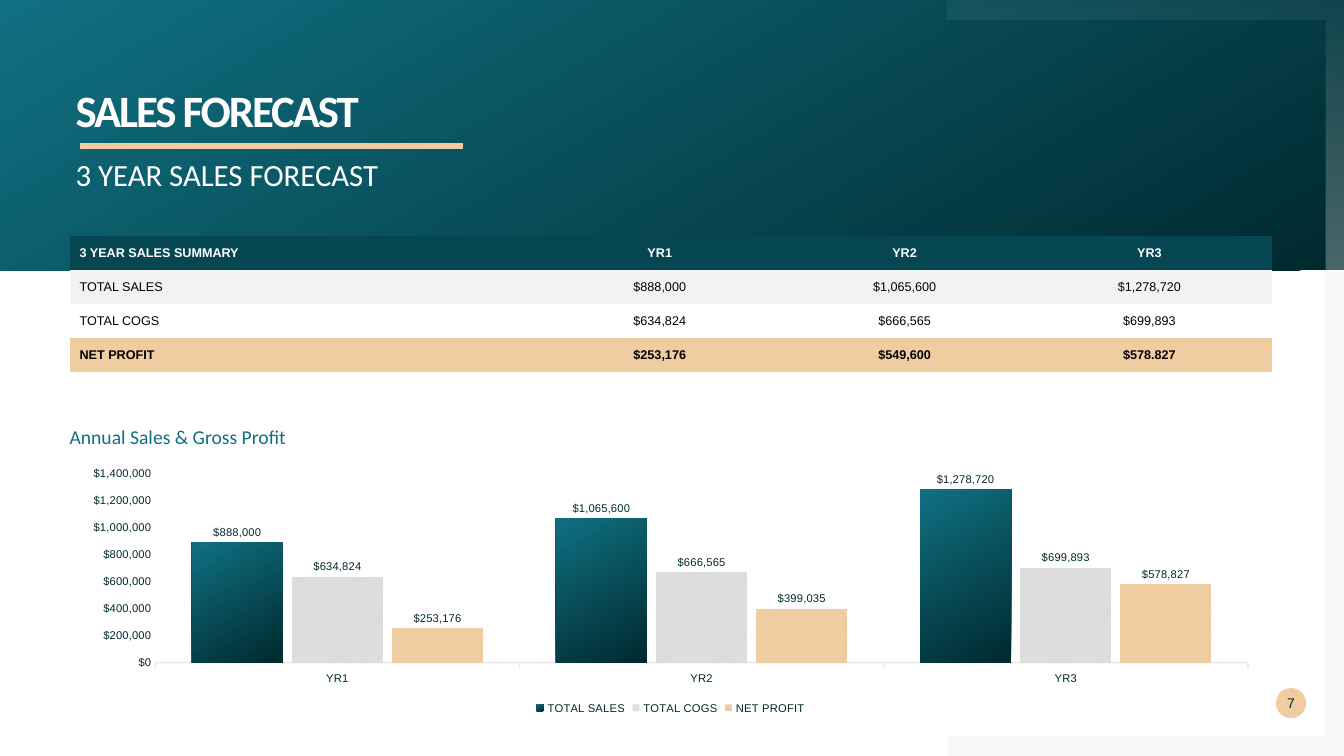
from lxml import etree
from pptx import Presentation
from pptx.chart.data import CategoryChartData
from pptx.dml.color import RGBColor
from pptx.enum.chart import XL_CHART_TYPE, XL_LABEL_POSITION, XL_LEGEND_POSITION, XL_TICK_MARK
from pptx.enum.dml import MSO_PATTERN
from pptx.enum.shapes import MSO_CONNECTOR, MSO_SHAPE
from pptx.enum.text import MSO_ANCHOR, PP_ALIGN
from pptx.oxml.ns import qn
from pptx.util import Emu, Pt

RECTANGLE, OVAL = MSO_SHAPE.RECTANGLE, MSO_SHAPE.OVAL
LEFT, CENTER = PP_ALIGN.LEFT, PP_ALIGN.CENTER
TOP, MIDDLE = MSO_ANCHOR.TOP, MSO_ANCHOR.MIDDLE

COLORS = {
    "dark": "00292E", "teal": "107082", "header": "054652", "sand": "F0CDA1",
    "white": "FFFFFF", "black": "000000", "pale": "F2F2F2", "silver": "D9D9D9",
    "axis": "BFBFBF", "grey": "808080",
}
COLUMNS, ROWS, CELL = 160, 90, 76200
MARGIN, CONTENT_WIDTH = 8.28, 143.14
BAND_ROWS = 32.16
FRAME_LEFT, FRAME_INNER, FRAME_THICKNESS = 112.8, 157.7, 2.4
TABLE_ROW = 4.06
NO_TABLE_STYLE = "{2D5ABB26-0587-4C30-8999-92F81FD0307C}"
MONEY = '"$"#,##0'
YEARS = ["YR1", "YR2", "YR3"]
SUMMARY = [
    (["3 YEAR SALES SUMMARY"] + YEARS, "header", "white", True),
    (["TOTAL SALES", "$888,000", "$1,065,600", "$1,278,720"], "pale", "black", False),
    (["TOTAL COGS", "$634,824", "$666,565", "$699,893"], "white", "black", False),
    (["NET PROFIT", "$253,176", "$549,600", "$578.827"], "sand", "black", True),
]
SERIES = {
    "TOTAL SALES": (888000, 1065600, 1278720),
    "TOTAL COGS": (634824, 666565, 699893),
    "NET PROFIT": (253176, 399035, 578827),
}


def grid(*cells):
    """Turn grid cells into lengths."""
    return [Emu(round(cell * CELL)) for cell in cells]


def color(name):
    """Look up a colour by name."""
    return RGBColor.from_string(COLORS[name])


def set_attributes(target, values):
    """Set each named attribute on the target."""
    for name, value in values.items():
        setattr(target, name, value)


def set_alpha(element, *percents):
    """Give the element's colours their opacity, in order."""
    for node, percent in zip(list(element.iter(qn("a:srgbClr"))), percents):
        etree.SubElement(node, qn("a:alpha")).set("val", str(percent * 1000))


def fill_solid(fill, name):
    """Fill with one colour."""
    fill.solid()
    fill.fore_color.rgb = color(name)


def fill_gradient(fill, names, angle):
    """Fill with a two-stop gradient."""
    fill.gradient()
    fill.gradient_angle = angle
    for position, (stop, name) in enumerate(zip(fill.gradient_stops, names)):
        stop.color.rgb = color(name)
        stop.position = position


def set_font(font, name, size, tint, bold=False):
    """Format a font."""
    set_attributes(font, {"name": name, "size": Pt(size), "bold": bold})
    font.color.rgb = color(tint)


def write(frame, text, font, align=LEFT, anchor=TOP, wrap=True, line_spacing=None):
    """Write one paragraph without insets and return its run."""
    set_attributes(frame, {"margin_left": 0, "margin_right": 0, "margin_top": 0,
                           "margin_bottom": 0, "word_wrap": wrap,
                           "vertical_anchor": anchor})
    paragraph = frame.paragraphs[0]
    set_attributes(paragraph, {"alignment": align, "line_spacing": line_spacing})
    run = paragraph.add_run()
    run.text = text
    set_font(run.font, *font)
    return run


def add_text(slide, cells, text, font, **layout):
    """Add a text box and return its run."""
    box = slide.shapes.add_textbox(*grid(*cells))
    return write(box.text_frame, text, font, **layout)


def add_plain_shape(slide, kind, cells):
    """Add a preset shape without line or shadow."""
    shape = slide.shapes.add_shape(kind, *grid(*cells))
    shape.shadow.inherit = False
    shape.line.fill.background()
    return shape


def add_corner(slide, outer, inner, end):
    """Add an L-shaped frame from its outer, inner and end rows."""
    points = [(FRAME_LEFT, outer), (COLUMNS, outer), (COLUMNS, end),
              (FRAME_INNER, end), (FRAME_INNER, inner), (FRAME_LEFT, inner)]
    points = [grid(*point) for point in points]
    builder = slide.shapes.build_freeform(*points[0])
    builder.add_line_segments(points[1:], close=True)
    shape = builder.convert_to_shape()
    shape.shadow.inherit = False
    shape.line.fill.background()
    return shape


def add_rule(slide, left, top, width):
    """Add the thick rule under the title."""
    rule = slide.shapes.add_connector(MSO_CONNECTOR.STRAIGHT,
                                      *grid(left, top, left + width, top))
    rule.line.color.rgb = color("sand")
    rule.line.width = Pt(4.32)
    etree.SubElement(rule._element.spPr, qn("a:effectLst"))


def add_summary_table(slide, top):
    """Add the sales summary table."""
    widths = grid(55.69, *[29.15] * len(YEARS))
    table = slide.shapes.add_table(
        len(SUMMARY), len(widths),
        *grid(MARGIN, top, CONTENT_WIDTH, TABLE_ROW * len(SUMMARY))).table
    table._tbl.tblPr.find(qn("a:tableStyleId")).text = NO_TABLE_STYLE
    table.horz_banding = False
    for column, width in zip(table.columns, widths):
        column.width = width
    for row, (texts, background, tint, bold) in zip(table.rows, SUMMARY):
        row.height = grid(TABLE_ROW)[0]
        for index, (cell, text) in enumerate(zip(row.cells, texts)):
            cell.text = text
            cell.vertical_anchor = MIDDLE
            fill_solid(cell.fill, background)
            paragraph = cell.text_frame.paragraphs[0]
            paragraph.alignment = CENTER if index else LEFT
            set_font(paragraph.runs[0].font, "Arial", 9, tint, bold)


def format_axes(chart):
    """Format the axes and the gridlines."""
    values, categories = chart.value_axis, chart.category_axis
    set_attributes(values, {"minimum_scale": 0, "maximum_scale": 1400000,
                            "major_unit": 200000, "major_tick_mark": XL_TICK_MARK.NONE})
    set_attributes(values.tick_labels, {"number_format": MONEY,
                                        "number_format_is_linked": False})
    values.format.line.fill.background()
    categories.major_tick_mark = XL_TICK_MARK.OUTSIDE
    for owner, tint, width, alpha in ((values.major_gridlines, "pale", 0.75, 30),
                                      (categories, "axis", 1.25, 27)):
        line = owner.format.line
        line.color.rgb = color(tint)
        line.width = Pt(width)
        set_alpha(line._get_or_add_ln(), alpha)


def add_sales_chart(slide, top, height):
    """Add the clustered columns of sales, costs and profit."""
    data = CategoryChartData(number_format=MONEY)
    data.categories = YEARS
    for name, values in SERIES.items():
        data.add_series(name, values)
    chart = slide.shapes.add_chart(XL_CHART_TYPE.COLUMN_CLUSTERED,
                                   *grid(MARGIN, top, CONTENT_WIDTH, height), data).chart
    set_attributes(chart, {"has_title": False, "has_legend": True})
    set_attributes(chart.legend, {"position": XL_LEGEND_POSITION.BOTTOM,
                                  "include_in_layout": False})
    set_font(chart.font, "Arial", 8, "dark")
    format_axes(chart)
    plot = chart.plots[0]
    set_attributes(plot, {"gap_width": 80, "overlap": -10, "vary_by_categories": False,
                          "has_data_labels": True})
    set_attributes(plot.data_labels, {"show_value": True, "number_format": MONEY,
                                      "number_format_is_linked": False,
                                      "position": XL_LABEL_POSITION.OUTSIDE_END})
    sales, costs, profit = [series.format.fill for series in plot.series]
    fill_gradient(sales, ("dark", "teal"), 120)
    costs.patterned()
    costs.pattern = MSO_PATTERN.DARK_UPWARD_DIAGONAL
    costs.fore_color.rgb = color("pale")
    costs.back_color.rgb = color("silver")
    fill_solid(profit, "sand")


def add_backdrop(slide):
    """Add the header band and the two corner frames."""
    lower = add_corner(slide, ROWS, ROWS - FRAME_THICKNESS, BAND_ROWS)
    fill_solid(lower.fill, "grey")
    set_alpha(lower._element.spPr, 5)
    band = add_plain_shape(slide, RECTANGLE, (0, 0, COLUMNS, BAND_ROWS))
    fill_gradient(band.fill, ("dark", "teal"), 120)
    upper = add_corner(slide, 0, FRAME_THICKNESS, BAND_ROWS)
    fill_gradient(upper.fill, ("white", "white"), 270)
    set_alpha(upper._element.spPr, 5, 30)


def main():
    """Build and save the sales forecast slide."""
    presentation = Presentation()
    presentation.slide_width, presentation.slide_height = grid(COLUMNS, ROWS)
    slide = presentation.slides.add_slide(presentation.slide_layouts[6])
    add_backdrop(slide)
    title = add_text(slide, (9, 10.56, 99.2, 4.8), "SALES FORECAST",
                     ("Calibri", 32, "white", True), line_spacing=0.9)
    title.font._element.set("spc", "-150")
    badge = add_plain_shape(slide, OVAL, (151.9, 81.9, 3.6, 3.6))
    fill_solid(badge.fill, "sand")
    write(badge.text_frame, "7", ("Arial", 10, "dark"), align=CENTER, anchor=MIDDLE)
    add_text(slide, (9, 18.48, 99.2, 4.7), "3 YEAR SALES FORECAST", ("Calibri", 22, "white"))
    add_rule(slide, 9.5, 17.4, 45.6)
    add_summary_table(slide, BAND_ROWS - TABLE_ROW)
    add_sales_chart(slide, 55, 30.5)
    add_text(slide, (MARGIN, 50.6, 26.4, 2.9), "Annual Sales & Gross Profit",
             ("Calibri", 14, "teal"), wrap=False)
    presentation.save("out.pptx")


main()
